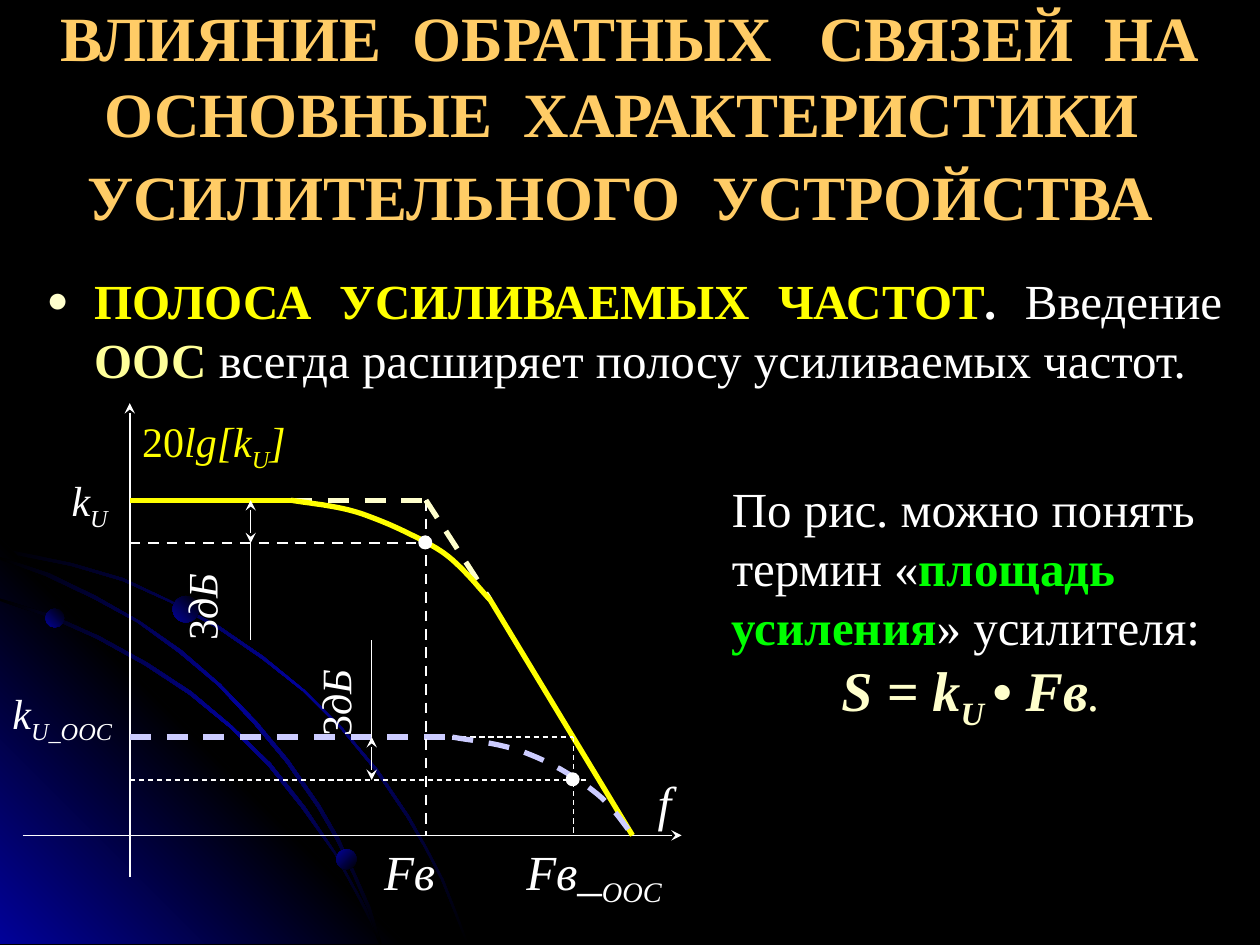
from lxml.etree import SubElement
from pptx import Presentation
from pptx.dml.color import RGBColor as RGB
from pptx.enum.dml import MSO_LINE
from pptx.enum.shapes import MSO_CONNECTOR as CONN, MSO_SHAPE as SHAPE
from pptx.enum.text import MSO_ANCHOR as ANCHOR, MSO_AUTO_SIZE as AUTO, PP_ALIGN as ALIGN
from pptx.oxml.ns import qn
from pptx.util import Inches, Pt

THEME = {
    "font": "Times New Roman", "title_size": 36, "tail_size": 40, "text": 28, "label": 24, "formula": 32,
    "bg": "000000", "title": "FFCC66", "white": "FFFFFF", "yellow": "FFFF00", "cream": "FFFFCC",
    "pale": "FFFF99", "green": "00FF00", "lilac": "CCCCFF", "blue": "010199",
}
T = THEME
SUB = {"sub": True}

TITLE = [("ВЛИЯНИЕ  ОБРАТНЫХ   СВЯЗЕЙ  НА ОСНОВНЫЕ  ХАРАКТЕРИСТИКИ  УСИЛИТЕЛЬНОГО  УСТРОЙСТВА",
          {"bold": True}), (" ", {"size": T["tail_size"], "name": "Arial"})]
BODY = [("ПОЛОСА УСИЛИВАЕМЫХ ЧАСТОТ", {"bold": True, "color": "yellow"}), (".", {"bold": True}),
        (" Введение ", {}), ("ООС ", {"bold": True, "color": "pale"}),
        ("всегда расширяет полосу усиливаемых частот.", {})]
NOTE = [("По рис. можно понять термин «", {}), ("площадь усиления", {"bold": True, "color": "green"}),
        ("» усилителя:", {})]
STRONG = {"bold": True, "italic": True, "size": T["formula"]}
FORMULA = [("S = k", STRONG), ("U ", STRONG | SUB), ("• Fв", STRONG), (".", {"italic": True})]

X0, X_BEND, X_FV, X_JOIN, X_OOC, X_FV_OOC, X_END = 1.03, 2.31, 3.38, 3.89, 3.59, 4.55, 5.02
Y_KU, Y_KU_3DB, Y_JOIN, Y_OOC, Y_OOC_3DB, Y_AXIS, Y_MID = 3.97, 4.31, 4.76, 5.85, 6.19, 6.63, 5.08
X_DIM, X_DIM_OOC = 1.99, 2.95

IT = {"italic": True}
UP = {"color": "yellow"}
LABELS = [
    ((X0, 3.25, 1.92, 0.5), "label", [("20", UP), ("lg[k", UP | IT), ("U", UP | IT | SUB), ("]", UP | IT)], {}),
    ((0, 5.41, 1.14, 0.67), "label", [("k", IT), ("U_ООС", IT | SUB)], {}),
    ((0.47, 3.72, 0.67, 0.59), "label", [("k", IT), ("U", IT | SUB)], {}),
    ((2.31, 5.29, 0.75, 0.56), "label", [("3", {}), ("дБ", IT)], {"turn": -90}),
    ((1.35, 4.43, 0.75, 0.76), "label", [("3", {}), ("дБ", IT)], {"turn": -90}),
    ((2.95, Y_AXIS, 0.86, 0.55), "text", [("Fв", IT)], {}),
    ((4.02, Y_AXIS, 1.39, 0.55), "text", [("Fв_", IT), ("ООС", IT | SUB)], {"align": ALIGN.CENTER, "inset": 0}),
    ((5.12, 6.08, 0.39, 0.66), "text", [("f", IT)], {}),
]

LINES = [
    (X0, 6.96, X0, 3.2, "white", 1, False, "tail"),
    (0.18, Y_AXIS, 5.41, Y_AXIS, "white", 0.75, False, "tail"),
    (X0, Y_KU, X_BEND, Y_KU, "yellow", 3, False, ""),
    (X_JOIN, Y_JOIN, X_END, Y_AXIS, "yellow", 3, False, ""),
    (X0, Y_OOC, X_OOC, Y_OOC, "lilac", 3, True, ""),
    (X_FV, Y_KU, X_FV, Y_AXIS, "white", 1.5, True, ""),
    (X_FV_OOC, Y_OOC, X_FV_OOC, Y_AXIS, "white", 0.75, True, ""),
    (X0, Y_KU_3DB, X_FV, Y_KU_3DB, "white", 1.5, True, ""),
    (X0, Y_OOC_3DB, 4.66, Y_OOC_3DB, "white", 0.75, True, ""),
    (X_DIM_OOC, Y_OOC, X_DIM_OOC, Y_OOC_3DB, "white", 0.75, False, "head tail"),
    (X_DIM_OOC, Y_MID, X_DIM_OOC, Y_OOC, "white", 0.75, False, ""),
    (X_DIM, Y_KU, X_DIM, Y_KU_3DB, "white", 0.75, False, "head tail"),
    (X_DIM, Y_KU_3DB, X_DIM, Y_MID, "white", 0.75, False, ""),
    (X_BEND, Y_KU, X_FV, Y_KU, "cream", 3, True, ""),
    (X_FV, Y_KU, X_JOIN, Y_JOIN, "cream", 3, True, ""),
    (X_OOC, Y_OOC, X_FV_OOC, Y_OOC, "white", 0.75, True, ""),
]
CURVES = [
    ([(X_BEND, Y_KU), (2.41, 3.99), (2.68, 4.01), (2.88, 4.08), (3.08, 4.15), (3.34, 4.27), (3.51, 4.38),
      (3.68, 4.5), (3.81, 4.68), (X_JOIN, Y_JOIN)], "yellow", False),
    ([(X_OOC, Y_OOC), (3.69, 5.87), (3.98, 5.9), (4.16, 5.97), (4.35, 6.04), (4.56, 6.16), (4.7, 6.27),
      (4.85, 6.38), (4.96, 6.55), (X_END, Y_AXIS)], "lilac", True),
]
POINTS = [(X_FV, Y_KU_3DB), (X_FV_OOC, Y_OOC_3DB)]

BAND = ([(0, "bg"), (50, "blue"), (100, "bg")], 225)
CORNER = ([(0, "blue"), (50, "bg"), (100, "blue")], 135)
DECOR = [
    ([(0.57, 4.47), (0, 4.35), (0, 4.38), (0.56, 4.49), (0.97, 4.61), (1.35, 4.78), (1.73, 4.99),
      (2.08, 5.23), (2.41, 5.49), (2.71, 5.79), (2.98, 6.12), (3.23, 6.49), (3.37, 6.73), (3.5, 6.98),
      (3.6, 7.23), (3.7, 7.49), (3.72, 7.49), (3.62, 7.23), (3.52, 6.98), (3.39, 6.73), (3.25, 6.48),
      (3, 6.11), (2.72, 5.78), (2.42, 5.48), (2.09, 5.21), (1.74, 4.97), (1.36, 4.77), (0.98, 4.59)], BAND),
    ([(3.22, 7.49), (0, 7.49), (0, 4.27)], CORNER),
    ([(2.85, 7.14), (2.94, 7.32), (3.01, 7.49), (3.03, 7.49), (2.96, 7.3), (2.86, 7.12), (2.66, 6.76),
      (2.42, 6.4), (2.15, 6.06), (1.84, 5.76), (1.52, 5.49), (1.17, 5.26), (0.79, 5.05), (0.41, 4.88),
      (0, 4.75), (0, 4.77), (0.39, 4.9), (0.77, 5.07), (1.15, 5.28), (1.5, 5.51), (1.83, 5.78),
      (2.13, 6.08), (2.4, 6.42), (2.65, 6.77)], BAND),
    ([(0, 4.42), (0, 4.44), (0.36, 4.57), (0.74, 4.75), (1.09, 4.94), (1.42, 5.18), (1.73, 5.44),
      (2.02, 5.75), (2.27, 6.05), (2.52, 6.41), (2.67, 6.67), (2.8, 6.94), (2.92, 7.22), (3.01, 7.49),
      (3.03, 7.49), (2.94, 7.2), (2.82, 6.93), (2.69, 6.65), (2.54, 6.39), (2.29, 6.03), (2.04, 5.73),
      (1.75, 5.43), (1.44, 5.16), (1.11, 4.93), (0.76, 4.73), (0.39, 4.55)], BAND),
]
DOTS = [(0.36, 4.83, 0.15, 135), (2.67, 6.74, 0.16, 225), (1.37, 4.73, 0.21, 135)]


def color(key):
    return RGB.from_string(T[key])


def write(p, runs, size, base="white", align=ALIGN.LEFT):
    p.alignment, p.space_before = align, Pt(0)
    for text, fmt in runs:
        r = p.add_run()
        r.text = text
        f = {"name": T["font"], "size": size, "bold": False, "italic": False, "color": base} | fmt
        r.font.color.rgb = color(f.pop("color"))
        if f.pop("sub", False):
            r._r.get_or_add_rPr().set("baseline", "-25000")
        f["size"] = Pt(f["size"])
        for key, value in f.items():
            setattr(r.font, key, value)


def frame(sp, box, inset=0.1, anchor=ANCHOR.TOP):
    sp.left, sp.top, sp.width, sp.height = map(Inches, box)
    tf = sp.text_frame
    for key, value in {"word_wrap": True, "auto_size": AUTO.NONE, "vertical_anchor": anchor,
                       "margin_left": Inches(inset), "margin_right": Inches(inset),
                       "margin_top": Inches(0.05), "margin_bottom": Inches(0.05)}.items():
        setattr(tf, key, value)
    return tf


def textbox(s, box, inset=0.1):
    sp = s.shapes.add_textbox(*map(Inches, box))
    return sp, frame(sp, box, inset)


def stroke(sp, key, width, dashed=False):
    sp.line.color.rgb, sp.line.width = color(key), Pt(width)
    if dashed:
        sp.line.dash_style = MSO_LINE.DASH


def gradient(sp, stops, angle):
    sp.shadow.inherit = False
    sp.line.fill.background()
    sp.fill.gradient()
    grad = sp._element.spPr.find(qn("a:gradFill"))
    for child in list(grad):
        grad.remove(child)
    gs_list = SubElement(grad, qn("a:gsLst"))
    for pos, key in stops:
        gs = SubElement(gs_list, qn("a:gs"), pos=str(pos * 1000))
        SubElement(gs, qn("a:srgbClr"), val=T[key])
    SubElement(grad, qn("a:lin"), ang=str(angle * 60000), scaled="0")


def outline(s, points, close):
    pts = [(round(x * 1000), round(y * 1000)) for x, y in points]
    fb = s.shapes.build_freeform(*pts[0], scale=Inches(1) / 1000)
    fb.add_line_segments(pts[1:], close=close)
    return fb.convert_to_shape()


def bezier(pts, steps=12):
    out = [pts[0]]
    for i in range(0, len(pts) - 1, 3):
        for t in (n / steps for n in range(1, steps + 1)):
            weights = ((1 - t) ** 3, 3 * t * (1 - t) ** 2, 3 * t * t * (1 - t), t ** 3)
            out.append(tuple(sum(w * q[k] for w, q in zip(weights, pts[i:i + 4])) for k in (0, 1)))
    return out


def connector(s, x1, y1, x2, y2, key, width, dashed, arrows):
    c = s.shapes.add_connector(CONN.STRAIGHT, *map(Inches, (x1, y1, x2, y2)))
    stroke(c, key, width, dashed)
    for end in arrows.split():
        SubElement(c.line._get_or_add_ln(), qn(f"a:{end}End"), type="stealth")
    SubElement(c._element.spPr, qn("a:effectLst"))


def main():
    prs = Presentation()
    prs.slide_width, prs.slide_height = Inches(10), Inches(7.5)
    s = prs.slides.add_slide(prs.slide_layouts[1])
    s.background.fill.solid()
    s.background.fill.fore_color.rgb = color("bg")

    for points, fill in DECOR:
        gradient(outline(s, points, True), *fill)
    for x, y, d, angle in DOTS:
        gradient(s.shapes.add_shape(SHAPE.OVAL, *map(Inches, (x, y, d, d))), [(0, "bg"), (100, "blue")], angle)

    tf = frame(s.shapes.title, (0, 0.3, 10, 1.25), anchor=ANCHOR.MIDDLE)
    write(tf.paragraphs[0], TITLE, T["title_size"], "title", ALIGN.CENTER)

    p = frame(s.placeholders[1], (0.27, 2.1, 9.53, 1.18)).paragraphs[0]
    pPr = p._p.get_or_add_pPr()
    pPr.set("marL", str(Inches(0.38)))
    pPr.set("indent", str(Inches(-0.38)))
    SubElement(SubElement(pPr, qn("a:buClr")), qn("a:srgbClr"), val=T["cream"])
    SubElement(pPr, qn("a:buSzPct"), val="75000")
    SubElement(pPr, qn("a:buChar"), char="●")
    write(p, BODY, T["text"], align=ALIGN.JUSTIFY)

    for line in LINES:
        connector(s, *line)
    for points, key, dashed in CURVES:
        sp = outline(s, bezier(points), False)
        sp.fill.background()
        sp.shadow.inherit = False
        stroke(sp, key, 3, dashed)
    for x, y in POINTS:
        sp = s.shapes.add_shape(SHAPE.OVAL, *map(Inches, (x - 0.05, y - 0.05, 0.09, 0.09)))
        sp.shadow.inherit = False
        sp.fill.solid()
        sp.fill.fore_color.rgb = color("white")
        stroke(sp, "white", 1.5)
    for box, size, runs, opts in LABELS:
        sp, tf = textbox(s, box, opts.get("inset", 0.1))
        sp.rotation = opts.get("turn", 0)
        write(tf.paragraphs[0], runs, T[size], align=opts.get("align", ALIGN.LEFT))

    sp, tf = textbox(s, (5.71, 3.75, 4.1, 2.11))
    write(tf.paragraphs[0], NOTE, T["text"])
    p = tf.add_paragraph()
    p._p.get_or_add_pPr().set("marL", str(Inches(0.87)))
    write(p, FORMULA, T["text"], "cream")
    prs.save("out.pptx")


if __name__ == "__main__":
    main()
